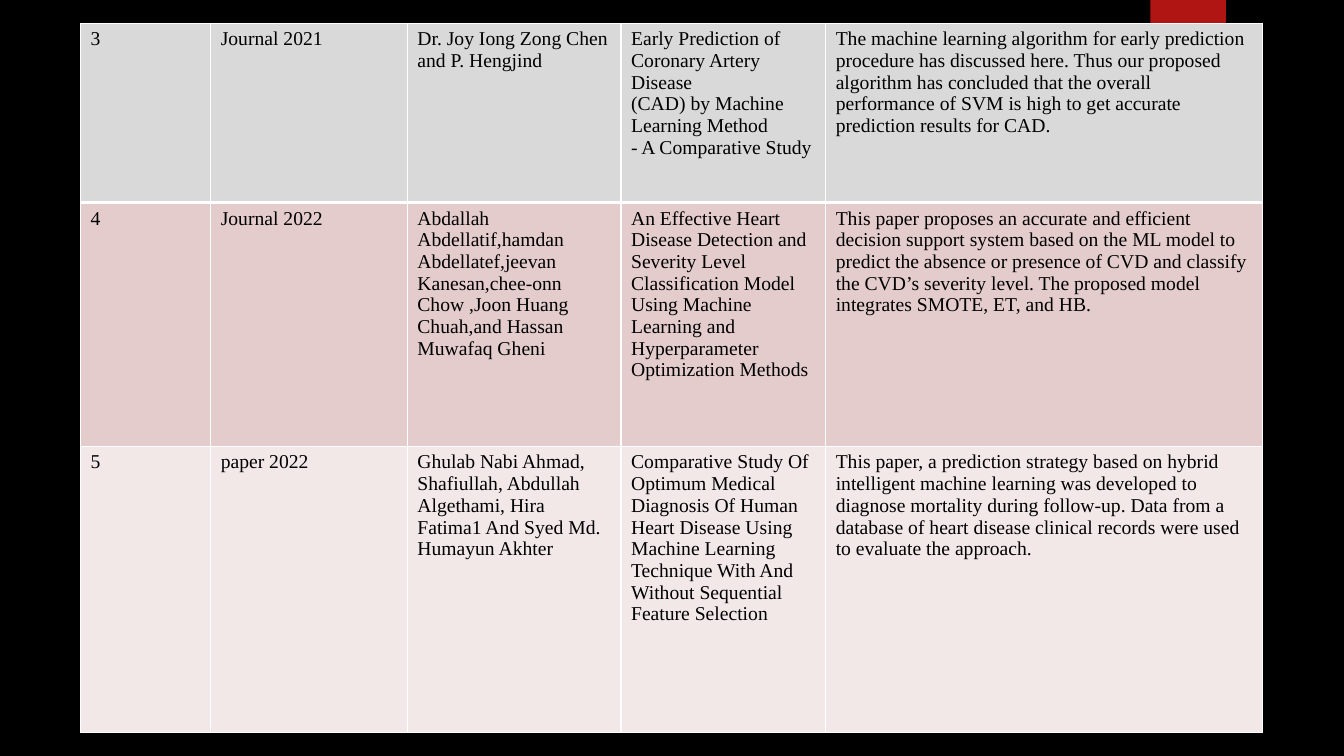
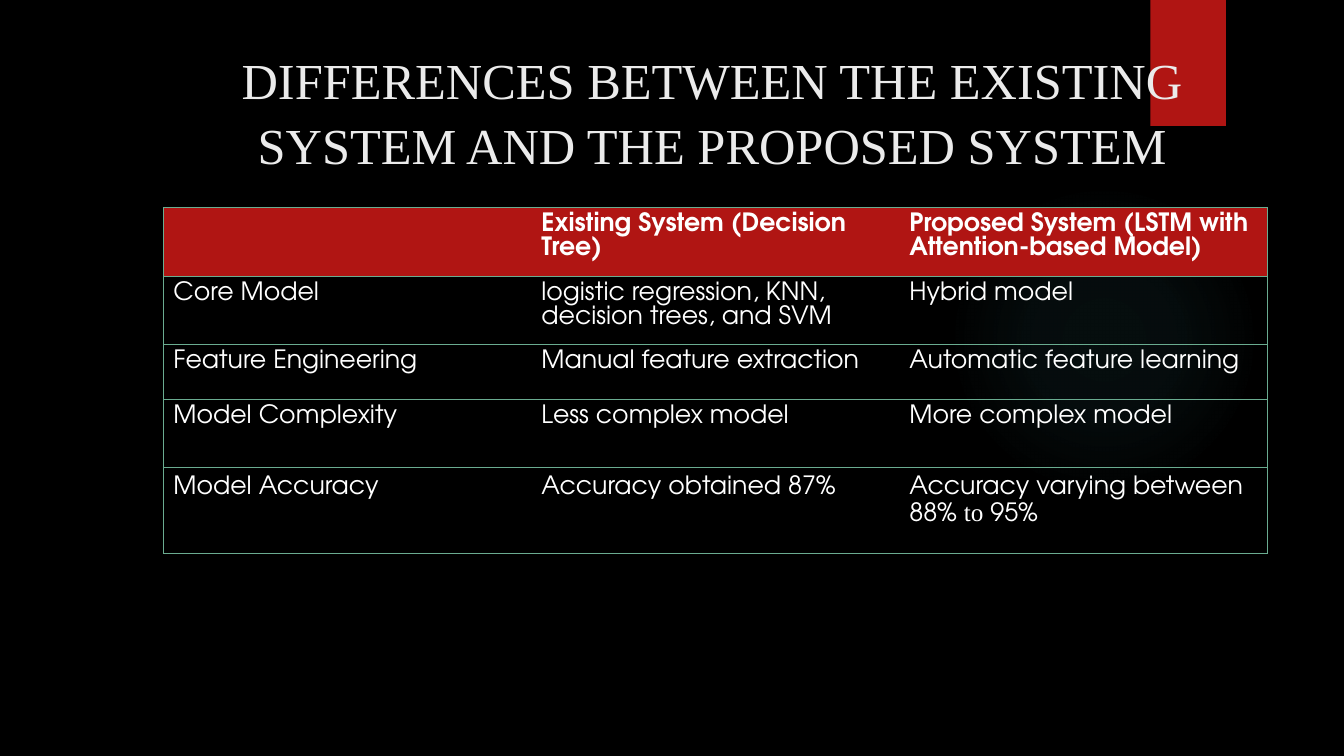
from lxml import etree
from pptx import Presentation
from pptx.dml.color import RGBColor
from pptx.enum.shapes import MSO_SHAPE as Shape
from pptx.enum.text import MSO_ANCHOR as Anchor, MSO_AUTO_SIZE as AutoSize, PP_ALIGN as Align
from pptx.oxml import parse_xml
from pptx.oxml.ns import nsdecls, qn
from pptx.util import Inches, Pt

SERIF = "Times New Roman"
SANS = "TeX Gyre Adventor"
BLACK, WHITE, RED, GREEN, TEAL = "000000", "FFFFFF", "B01513", "6AAC90", "50B9C1"


def color(value):
    return RGBColor.from_string(value)


def set_borders(cell, borders):
    props = cell._tc.get_or_add_tcPr()
    for side in "LRTB":
        value, width = borders.get(side, (None, 0))
        line = etree.SubElement(props, qn(f"a:ln{side}"), w=str(Pt(width)))
        if value:
            fill = etree.SubElement(line, qn("a:solidFill"))
            etree.SubElement(fill, qn("a:srgbClr"), val=value)
        else:
            etree.SubElement(line, qn("a:noFill"))


deck = Presentation()
deck.slide_width = Inches(13.33)
deck.slide_height = Inches(7.5)
master = deck.slide_master
master.background.fill.solid()
master.background.fill.fore_color.rgb = color(BLACK)

survey_page = deck.slides.add_slide(deck.slide_layouts[6])
compare_page = deck.slides.add_slide(deck.slide_layouts[5])

glow = survey_page.shapes.add_shape(
    Shape.OVAL, Inches(9.41), Inches(1.83), Inches(3.08), Inches(3.08))
glow.shadow.inherit = False
glow.line.fill.background()
stops = "".join(
    f'<a:gs pos="{place * 1000}"><a:srgbClr val="{TEAL}">'
    f'<a:alpha val="{alpha * 1000}"/></a:srgbClr></a:gs>'
    for place, alpha in [(0, 7), (36, 6), (69, 0), (100, 0)])
glow.element.spPr.find(qn("a:prstGeom")).addnext(parse_xml(
    f'<a:gradFill {nsdecls("a")}><a:gsLst>{stops}</a:gsLst><a:path path="circle">'
    '<a:fillToRect l="50000" t="50000" r="50000" b="50000"/></a:path></a:gradFill>'))

ribbon = survey_page.shapes.add_shape(
    Shape.RECTANGLE, Inches(11.41), 0, Inches(0.75), Inches(1.25))
ribbon.fill.solid()
ribbon.fill.fore_color.rgb = color(RED)
ribbon.line.fill.background()
ribbon.shadow.inherit = False
ribbon.element.spPr.find(qn("a:effectLst")).append(parse_xml(
    f'<a:outerShdw {nsdecls("a")} blurRad="{Pt(3)}" dist="{Pt(2)}" dir="5400000">'
    f'<a:srgbClr val="{BLACK}"><a:alpha val="45000"/></a:srgbClr></a:outerShdw>'))

for number, shape in enumerate((glow, ribbon), start=101):
    shape.element.nvSpPr.cNvPr.set("id", str(number))
    master.shapes.element.append(shape.element)

survey_rows = [
    ["3", "Journal 2021", "Dr. Joy Iong Zong Chen and P. Hengjind",
     "Early Prediction of Coronary Artery Disease\n(CAD) by Machine Learning Method\n"
     "- A Comparative Study",
     "The machine learning algorithm for early prediction procedure has discussed here. "
     "Thus our proposed algorithm has concluded that the overall performance of SVM is "
     "high to get accurate\nprediction results for CAD."],
    ["4", "Journal 2022",
     "Abdallah Abdellatif,hamdan Abdellatef,jeevan Kanesan,chee-onn Chow ,Joon Huang "
     "Chuah,and Hassan Muwafaq Gheni",
     "An Effective Heart Disease Detection and Severity Level Classification Model Using "
     "Machine Learning and Hyperparameter Optimization Methods",
     "This paper proposes an accurate and efficient decision support system based on the "
     "ML model to predict the absence or presence of CVD and classify the CVD’s severity "
     "level. The proposed model integrates SMOTE, ET, and HB."],
    ["5", "paper 2022",
     "Ghulab Nabi Ahmad, Shafiullah, Abdullah Algethami, Hira Fatima1 And Syed Md. "
     "Humayun Akhter",
     "Comparative Study Of Optimum Medical Diagnosis Of Human Heart Disease Using Machine "
     "Learning Technique With And Without Sequential Feature Selection",
     "This paper, a prediction strategy based on hybrid intelligent machine learning was "
     "developed to diagnose mortality during follow-up. Data from a database of heart "
     "disease clinical records were used to evaluate the approach."],
]
survey_widths = [1.29, 1.95, 2.12, 2.03, 4.33]
survey_heights = [1.78, 2.42, 2.84]
survey_fills = ["D9D9D9", "E4CCCC", "F2E8E7"]

survey = survey_page.shapes.add_table(
    3, 5, Inches(0.8), Inches(0.23), Inches(11.72), Inches(7.04)).table
for column, width in zip(survey.columns, survey_widths):
    column.width = Inches(width)
for row_index, texts in enumerate(survey_rows):
    survey.rows[row_index].height = Inches(survey_heights[row_index])
    for column_index, text in enumerate(texts):
        cell = survey.cell(row_index, column_index)
        borders = {side: (WHITE, 1) for side in "LRTB"}
        if row_index == 0:
            borders["B"] = (WHITE, 3)
        if row_index == 1:
            borders["T"] = (WHITE, 3)
        set_borders(cell, borders)
        cell.fill.solid()
        cell.fill.fore_color.rgb = color(survey_fills[row_index])
        cell.text_frame.text = text
        for para in cell.text_frame.paragraphs:
            para.font.bold = False
            for span in para.runs:
                span.font.name = SERIF
                span.font.size = Pt(14)
                span.font.bold = False
                span.font.color.rgb = color(BLACK)

title = compare_page.shapes.title
title.left, title.top = Inches(1.86), Inches(0.35)
title.width, title.height = Inches(10.41), Inches(1.05)
frame = title.text_frame
frame.text = "DIFFERENCES BETWEEN THE EXISTING SYSTEM AND THE PROPOSED SYSTEM"
frame.word_wrap = True
frame.auto_size = AutoSize.NONE
frame.vertical_anchor = Anchor.TOP
frame.margin_top = Inches(0.1)
para = frame.paragraphs[0]
para.alignment = Align.CENTER
para.line_spacing = 1.07
para.runs[0].font.name = SERIF
para.runs[0].font.size = Pt(36)
para.runs[0].font.color.rgb = color("EBEBEB")

compare_rows = [
    ["", "Existing System (Decision Tree)", "Proposed System (LSTM with Attention-based Model)"],
    ["Core Model", "logistic regression, KNN, decision trees, and SVM", "Hybrid model"],
    ["Feature Engineering", "Manual feature extraction", "Automatic feature learning"],
    ["Model Complexity", "Less complex model", "More complex model"],
    ["Model Accuracy", "Accuracy obtained 87%", "Accuracy varying between 88% "],
]
compare_heights = [0.68, 0.68, 0.54, 0.68, 0.85]

compare = compare_page.shapes.add_table(
    5, 3, Inches(1.62), Inches(2.06), Inches(10.95), Inches(3.43)).table
for column in compare.columns:
    column.width = Inches(3.65)
for row_index, texts in enumerate(compare_rows):
    compare.rows[row_index].height = Inches(compare_heights[row_index])
    is_header = row_index == 0
    is_last = row_index == len(compare_rows) - 1
    for column_index, text in enumerate(texts):
        cell = compare.cell(row_index, column_index)
        sides = "TB" + {0: "L", 2: "R"}.get(column_index, "")
        set_borders(cell, {side: (GREEN, 0.75) for side in sides})
        if is_header:
            cell.fill.solid()
            cell.fill.fore_color.rgb = color(RED)
        else:
            cell.fill.background()
        cell.text_frame.text = text
        para = cell.text_frame.paragraphs[0]
        para.line_spacing = Pt(19.3 if is_last else 17.1)
        if is_last and column_index == 2:
            for part in ("to", " 95%"):
                para.add_run().text = part
        for span in para.runs:
            span.font.name = SERIF if span.text == "to" else SANS
            span.font.size = Pt(18)
            span.font.bold = is_header
            span.font.color.rgb = color(WHITE)

deck.save("out.pptx")
